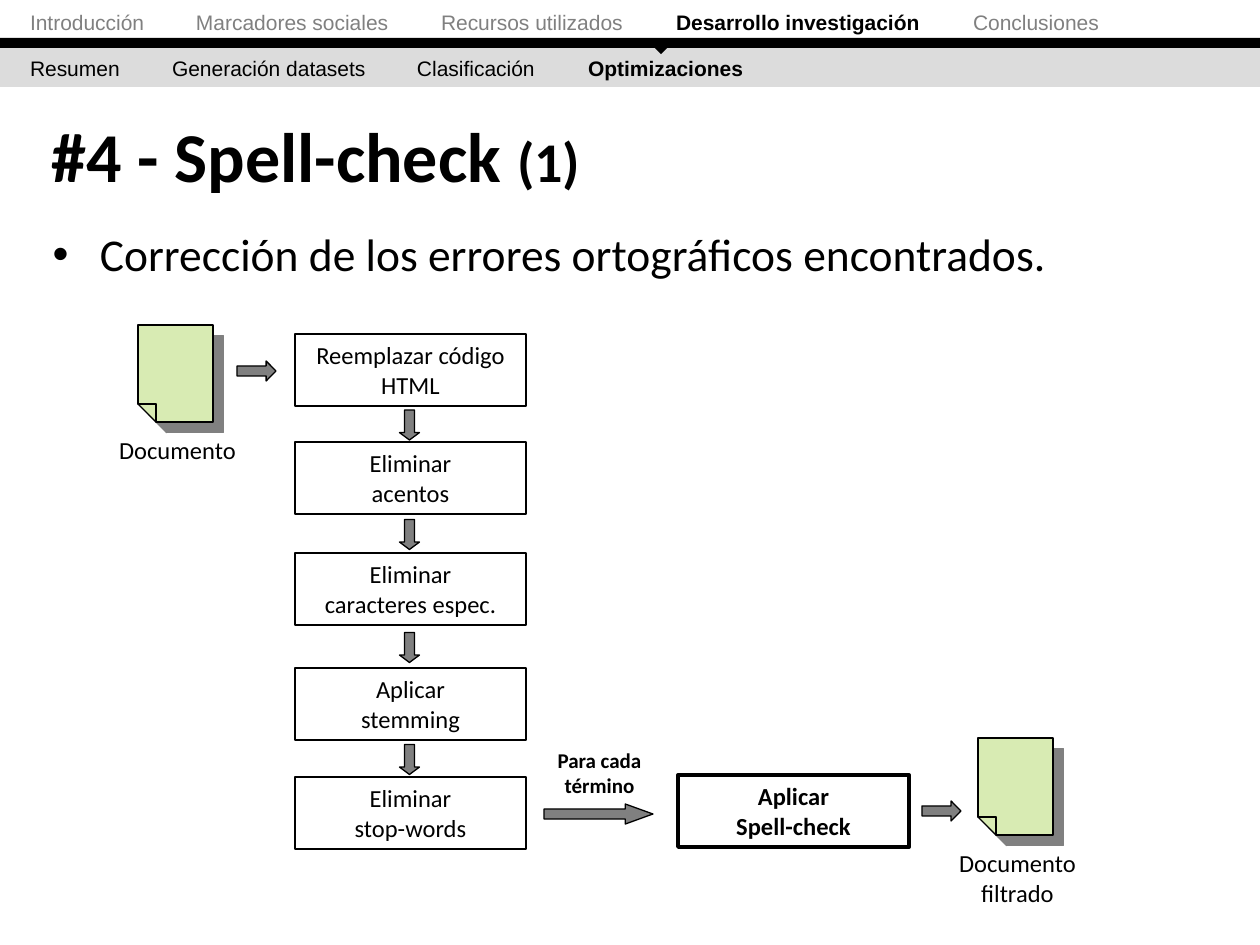
from lxml.etree import SubElement
from pptx import Presentation
from pptx.dml.color import RGBColor
from pptx.enum.shapes import MSO_SHAPE as Shape
from pptx.enum.text import MSO_ANCHOR as Anchor, MSO_AUTO_SIZE as AutoSize, PP_ALIGN as Align
from pptx.oxml.ns import qn
from pptx.util import Emu, Pt

BLACK, GRAY, BAND, GREEN = "000000", "808080", "DCDCDC", "D8EBB3"

# Each navigation row: top, then (label, left, colour, bold)
NAVIGATION = [
    (3, [("Introducción", 30, GRAY, False),
         ("Marcadores sociales", 196, GRAY, False),
         ("Recursos utilizados", 441, GRAY, False),
         ("Desarrollo investigación", 676, BLACK, True),
         ("Conclusiones", 973, GRAY, False)]),
    (49, [("Resumen", 30, BLACK, False),
          ("Generación datasets", 172, BLACK, False),
          ("Clasificación", 417, BLACK, False),
          ("Optimizaciones", 588, BLACK, True)]),
]
TITLE = [("#4 - Spell-check ", 40), ("(1)", 32)]
BULLET = "Corrección de los errores ortográficos encontrados."

STEPS = [(334, "Reemplazar código HTML"),
         (442, "Eliminar\vacentos"),
         (553, "Eliminar\vcaracteres espec."),
         (668, "Aplicar\vstemming"),
         (777, "Eliminar\vstop-words")]
STEP_LEFT, STEP_WIDTH, STEP_HEIGHT = 295, 231, 72
ARROW_THICK, ARROW_LENGTH = 20, 30

# Left, top, label
DOCUMENTS = [(138, 325, "Documento"), (978, 738, "Documento\vfiltrado")]
SHEET_WIDTH, SHEET_HEIGHT, FOLD = 75, 97, 18
LABEL_WIDTH = 168

# Left, top, length, head ratio
RIGHT_ARROWS = [(237, 361, 39, 0.49), (922, 801, 39, 0.49), (544, 804, 109, 1.38)]


def px(value):
    return Emu(round(value * 914400 / 126))


def color(value):
    return RGBColor.from_string(value)


def style(span, size, font="Calibri", ink=BLACK, bold=False):
    span.font.size = Pt(size)
    span.font.name = font
    span.font.bold = bold
    span.font.color.rgb = color(ink)


def place(shape, left, top, width, height):
    shape.left, shape.top = px(left), px(top)
    shape.width, shape.height = px(width), px(height)


def add_shape(page, kind, area, fill=None, line=None):
    """Add a preset shape; line is a width in points."""
    shape = page.shapes.add_shape(kind, *map(px, area))
    paint(shape, fill, line)
    return shape


def paint(shape, fill, line):
    shape.shadow.inherit = False
    if fill:
        shape.fill.solid()
        shape.fill.fore_color.rgb = color(fill)
    else:
        shape.fill.background()
    if line:
        shape.line.color.rgb = color(BLACK)
        shape.line.width = Pt(line)
    else:
        shape.line.fill.background()


def write(shape, text, size=14, bold=False):
    """Put centred text at the top of a shape or text box."""
    frame = shape.text_frame
    frame.word_wrap = True
    frame.vertical_anchor = Anchor.TOP
    frame.text = text
    para = frame.paragraphs[0]
    para.alignment = Align.CENTER
    for span in para.runs:
        style(span, size, bold=bold)


def add_label(page, area, text, size=14, bold=False):
    write(page.shapes.add_textbox(*map(px, area)), text, size, bold)


def add_arrow(page, kind, area, head):
    arrow = add_shape(page, kind, area, GRAY, 0.75)
    arrow.adjustments[0] = 0.5
    arrow.adjustments[1] = head


def add_navigation(page, top, entries):
    start = entries[0][1]
    box = page.shapes.add_textbox(px(0), px(top), px(1231), px(38))
    box.text_frame.word_wrap = True
    box.text_frame.margin_left = px(start)
    para = box.text_frame.paragraphs[0]
    stops = SubElement(para._p.get_or_add_pPr(), qn("a:tabLst"))
    for index, (label, left, ink, bold) in enumerate(entries):
        if index:
            SubElement(stops, qn("a:tab"), pos=str(px(left - start)), algn="l")
        span = para.add_run()
        span.text = "\t" + label if index else label
        style(span, 12, "Arial", ink, bold)


def add_document(page, left, top, text):
    """Add a sheet with a folded corner, a hard shadow and a label."""
    right, bottom = left + SHEET_WIDTH, top + SHEET_HEIGHT
    inner, crease = left + FOLD, bottom - FOLD
    outline = page.shapes.build_freeform(left, top, scale=px(1000) / 1000)
    outline.add_line_segments([(right, top), (right, bottom), (inner, bottom),
                               (inner, crease), (left, crease)])
    outline.move_to(left, crease)
    outline.add_line_segments([(inner, crease), (inner, bottom)])
    sheet = outline.convert_to_shape()
    paint(sheet, GREEN, 0.75)
    effects = sheet._element.spPr.find(qn("a:effectLst"))
    shadow = SubElement(effects, qn("a:outerShdw"), blurRad="0", dist=str(Pt(8.5)),
                        dir="2700000", algn="ctr", rotWithShape="0")
    SubElement(shadow, qn("a:srgbClr"), val=GRAY)
    center = left + SHEET_WIDTH / 2
    height = 72 if "\v" in text else 43
    add_label(page, (center + 2 - LABEL_WIDTH / 2, bottom + 7, LABEL_WIDTH, height), text)


def fill_placeholders(page):
    title, body = page.shapes.title, page.placeholders[1]
    place(title, 39, 108, 1211, 93)
    place(body, 40, 220, 1181, 714)
    for shape, anchor, parts in ((title, Anchor.MIDDLE, TITLE),
                                 (body, Anchor.TOP, [(BULLET, 26)])):
        frame = shape.text_frame
        frame.auto_size = AutoSize.NONE
        frame.vertical_anchor = anchor
        para = frame.paragraphs[0]
        para.alignment = Align.LEFT
        para.space_before = Pt(0)
        for text, size in parts:
            span = para.add_run()
            span.text = text
            style(span, size, bold=shape is title)


def add_steps(page):
    for top, text in STEPS:
        box = add_shape(page, Shape.RECTANGLE, (STEP_LEFT, top, STEP_WIDTH, STEP_HEIGHT), line=0.75)
        write(box, text)
    arrow_left = STEP_LEFT + (STEP_WIDTH - ARROW_THICK) / 2 - 1
    for (above, _), (below, _) in zip(STEPS, STEPS[1:]):
        middle = (above + STEP_HEIGHT + below) / 2 + 1
        area = (arrow_left, middle - ARROW_LENGTH / 2, ARROW_THICK, ARROW_LENGTH)
        add_arrow(page, Shape.DOWN_ARROW, area, 0.37)


def main():
    deck = Presentation()
    deck.slide_width, deck.slide_height = px(1260), px(945)
    page = deck.slides.add_slide(deck.slide_layouts[1])

    add_shape(page, Shape.RECTANGLE, (0, 47, 1260, 40), BAND)
    add_shape(page, Shape.RECTANGLE, (0, 38, 1260, 10), BLACK)
    for top, entries in NAVIGATION:
        add_navigation(page, top, entries)
    marker = add_shape(page, Shape.RIGHT_TRIANGLE, (651, 30, 20, 20), BLACK)
    marker.rotation = 315

    fill_placeholders(page)
    add_steps(page)
    for document in DOCUMENTS:
        add_document(page, *document)
    spell_check = add_shape(page, Shape.RECTANGLE, (678, 775, STEP_WIDTH, STEP_HEIGHT), line=2.25)
    write(spell_check, "Aplicar\vSpell-check", bold=True)
    for left, top, length, head in RIGHT_ARROWS:
        add_arrow(page, Shape.RIGHT_ARROW, (left, top, length, ARROW_THICK), head)
    add_label(page, (514, 741, 171, 63), "Para cada término", 12, True)

    deck.save("out.pptx")


if __name__ == "__main__":
    main()
